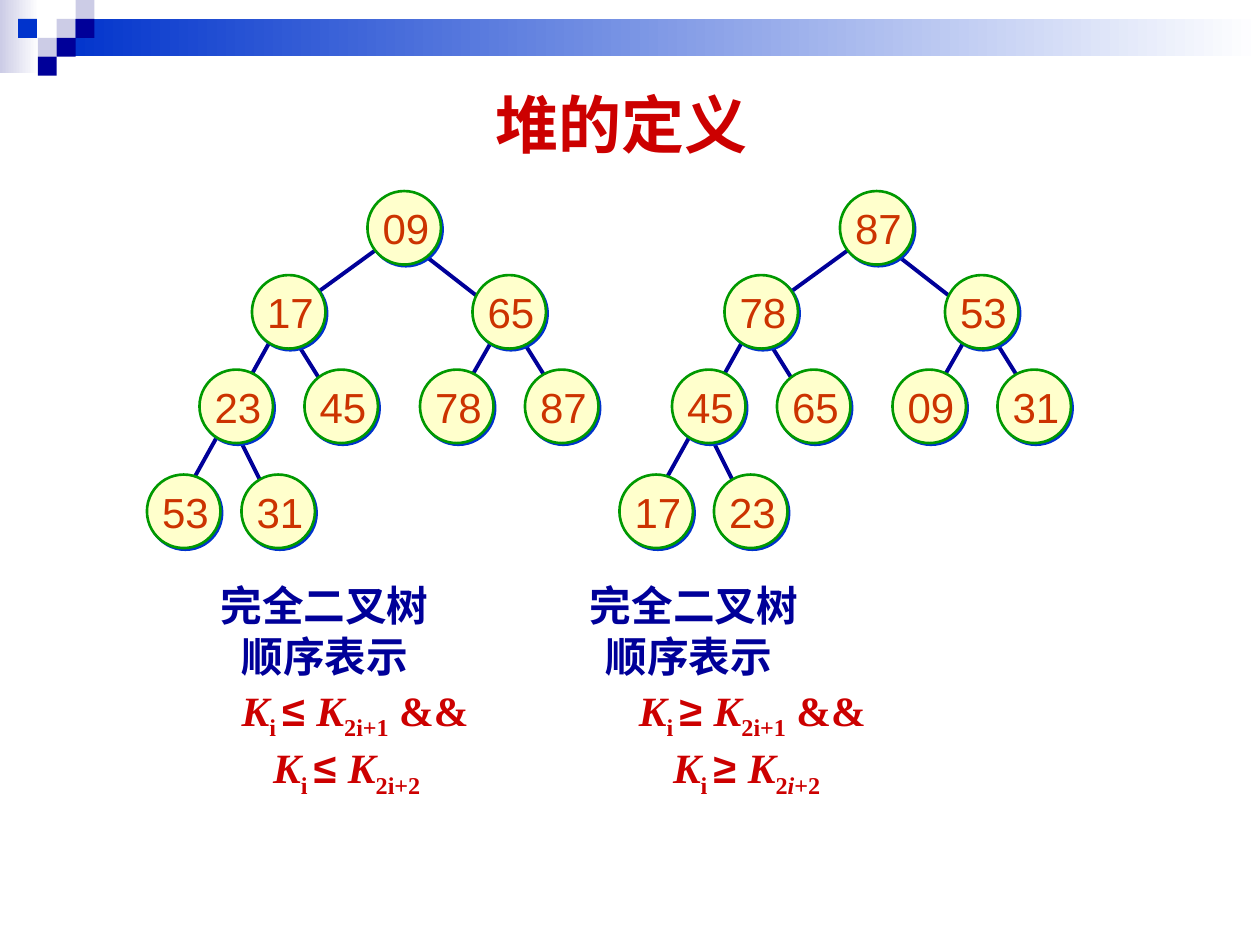
from dataclasses import dataclass

from lxml import etree
from pptx import Presentation
from pptx.dml.color import RGBColor
from pptx.enum.shapes import MSO_CONNECTOR, MSO_SHAPE
from pptx.enum.text import MSO_ANCHOR, PP_ALIGN
from pptx.oxml import parse_xml
from pptx.oxml.ns import nsdecls, qn
from pptx.util import Pt

RECT, OVAL = MSO_SHAPE.RECTANGLE, MSO_SHAPE.OVAL
STRAIGHT = MSO_CONNECTOR.STRAIGHT
CENTER, MIDDLE = PP_ALIGN.CENTER, MSO_ANCHOR.MIDDLE


@dataclass
class Theme:
    navy: RGBColor = RGBColor(0x00, 0x00, 0x99)
    blue: RGBColor = RGBColor(0x00, 0x33, 0xCC)
    pale: RGBColor = RGBColor(0xCC, 0xCC, 0xE6)
    white: RGBColor = RGBColor(0xFF, 0xFF, 0xFF)
    cream: RGBColor = RGBColor(0xFF, 0xFF, 0xCC)
    green: RGBColor = RGBColor(0x00, 0x99, 0x00)
    orange: RGBColor = RGBColor(0xCC, 0x33, 0x00)
    red: RGBColor = RGBColor(0xCC, 0x00, 0x00)
    sans: str = "Arial"
    serif: str = "Times New Roman"
    title_size: float = 36
    node_size: float = 24
    body_size: float = 23.8


def add_block(shape, x, y, w, h):
    sp = slide.shapes.add_shape(shape, Pt(x), Pt(y), Pt(w), Pt(h))
    sp.shadow.inherit = False
    sp.line.fill.background()
    return sp


def set_font(p, name, size, color, bold):
    p.font.name = name
    p.font.size = Pt(size)
    p.font.bold = bold
    p.font.color.rgb = color


theme = Theme()
prs = Presentation()
prs.slide_width, prs.slide_height = Pt(720), Pt(540)
slide = prs.slides.add_slide(prs.slide_layouts[5])

for x, y, w, h, color in [(0, 0, 22.3, 41.8, theme.pale),
                          (32.4, 10.8, 687.6, 21.3, theme.blue)]:
    sp = add_block(RECT, x, y, w, h)
    sp.fill.gradient()
    sp.fill.gradient_angle = 0
    for stop, stop_color in zip(sp.fill.gradient_stops, (color, theme.white)):
        stop.color.rgb = stop_color

TILE = 10.8
for x, row, color in [(32.4, 1, theme.pale), (43.2, 0, theme.pale),
                      (43.2, 1, theme.navy), (21.6, 2, theme.pale),
                      (10.3, 1, theme.blue), (32.4, 2, theme.navy),
                      (21.6, 3, theme.navy)]:
    sp = add_block(RECT, x, row * TILE, TILE, TILE)
    sp.fill.solid()
    sp.fill.fore_color.rgb = color

title = slide.shapes.title
title.left, title.top, title.width, title.height = Pt(31), Pt(43.2), Pt(648), Pt(54)
tf = title.text_frame
tf.vertical_anchor = MIDDLE
p = tf.paragraphs[0]
p.text = "堆的定义"
p.alignment = CENTER
set_font(p, theme.serif, theme.title_size, theme.red, True)

NODE = 42
TREE_GAP = 270
nodes = [(210, 109.2), (144, 157.2), (270, 157.2), (114, 211.2), (174, 211.2),
         (240, 211.2), (300, 211.2), (84, 271.2), (138, 271.2)]
edges = [(162, 181.2, 102, 289.2), (282, 193.2, 258, 235.2),
         (294, 187.2, 324, 235.2), (168, 193.2, 198, 241.2),
         (138, 253.2, 162, 301.2), (234, 139.2, 288, 181.2),
         (228, 133.2, 162, 181.2)]
heaps = [["09", "17", "65", "23", "45", "78", "87", "53", "31"],
         ["87", "78", "53", "45", "65", "09", "31", "17", "23"]]

for tree, keys in enumerate(heaps):
    dx = tree * TREE_GAP
    for x1, y1, x2, y2 in edges:
        line = slide.shapes.add_connector(STRAIGHT, Pt(x1 + dx), Pt(y1), Pt(x2 + dx), Pt(y2))
        line.line.color.rgb = theme.navy
        line.line.width = Pt(2.25)
        etree.SubElement(line._element.spPr, qn("a:effectLst"))
    for key, (x, y) in zip(keys, nodes):
        sp = add_block(OVAL, x + dx, y, NODE, NODE)
        sp.fill.solid()
        sp.fill.fore_color.rgb = theme.cream
        sp.line.color.rgb = theme.green
        sp.line.width = Pt(1.5)
        sp._element.spPr.find(qn("a:effectLst")).append(parse_xml(
            f'<a:outerShdw {nsdecls("a")} dist="{Pt(1.4)}" dir="2700000" algn="ctr" '
            f'rotWithShape="0"><a:srgbClr val="{theme.blue}"/></a:outerShdw>'))
        tf = sp.text_frame
        tf.word_wrap = False
        tf.vertical_anchor = MIDDLE
        tf.margin_left, tf.margin_right, tf.margin_top, tf.margin_bottom = Pt(2), 0, 0, 0
        p = tf.paragraphs[0]
        p.text = key
        p.alignment = CENTER
        set_font(p, theme.sans, theme.node_size, theme.orange, False)

K, I = ("K", "italic"), ("i ", "sub")
LE, GE = ("≤ ", "sans"), ("≥ ", "sans")
NEXT, AND = ("2i+1", "sub"), (" &&", "")
rows = [
    (theme.sans, theme.navy, (47, 258), [("完全二叉树", "")], [("完全二叉树", "")]),
    (theme.sans, theme.navy, (59, 267), [("顺序表示", "")], [("顺序表示", "")]),
    (theme.serif, theme.red, (59, 286), [K, I, LE, K, NEXT, AND], [K, I, GE, K, NEXT, AND]),
    (theme.serif, theme.red, (77, 305.5), [K, I, LE, K, ("2i+2", "sub")],
     [K, I, GE, K, ("2", "sub"), ("i", "sub italic"), ("+2", "sub")]),
]
tf = slide.shapes.add_textbox(Pt(72), Pt(329.8), Pt(574.6), Pt(170)).text_frame
tf.word_wrap = True
for n, (font, color, stops, left, right) in enumerate(rows):
    p = tf.add_paragraph() if n else tf.paragraphs[0]
    p.line_spacing = 0.95
    p.space_before = Pt(1.8 if n else 0)
    tabs = etree.SubElement(p._p.get_or_add_pPr(), qn("a:tabLst"))
    for stop in stops:
        etree.SubElement(tabs, qn("a:tab"), pos=str(Pt(stop)), algn="l")
    set_font(p, font, theme.body_size, color, True)
    for text, style in [("\t", ""), *left, ("\t", ""), *right]:
        r = p.add_run()
        r.text = text
        if "italic" in style:
            r.font.italic = True
        if "sans" in style:
            r.font.name = theme.sans
        if "sub" in style:
            r._r.get_or_add_rPr().set("baseline", "-25000")

prs.save("out.pptx")
